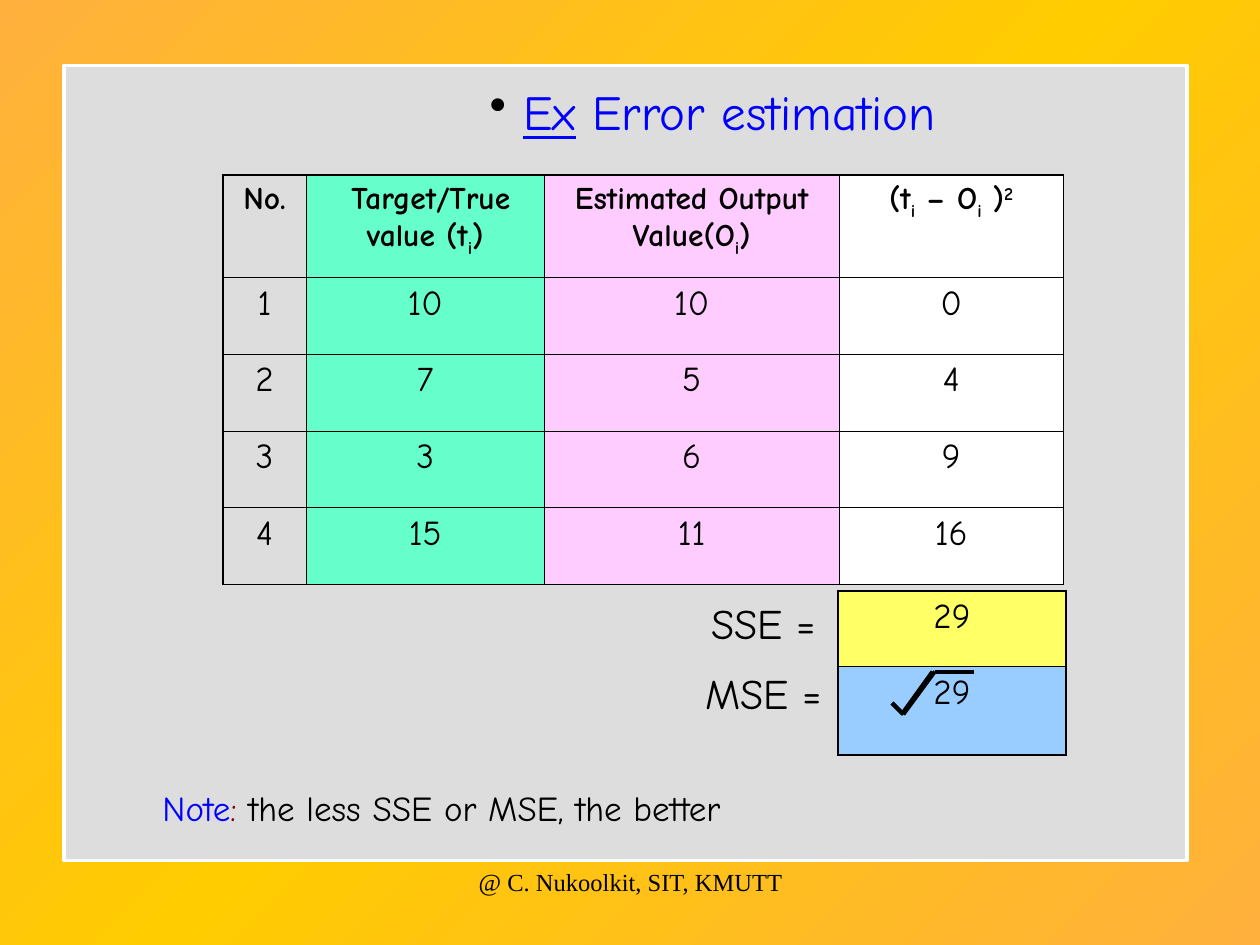
from copy import deepcopy

from lxml.etree import SubElement
from pptx import Presentation
from pptx.dml.color import RGBColor
from pptx.enum.shapes import MSO_CONNECTOR as Connector, MSO_SHAPE as Preset
from pptx.enum.text import MSO_ANCHOR as Anchor, MSO_AUTO_SIZE as AutoSize, PP_ALIGN as Align
from pptx.oxml import parse_xml
from pptx.oxml.ns import nsdecls, qn
from pptx.util import Inches, Pt

BLACK, BLUE, WHITE = "000000", "0000FF", "FFFFFF"
THIN, THICK = 0.45, 1.08


def color(hex_string):
    return RGBColor.from_string(hex_string)


def write(paragraph, text, size=20, font="Comic Neue", fill=BLACK, bold=False,
          underline=False, baseline=0):
    """Add a centred run of text to a paragraph."""
    paragraph.alignment = Align.CENTER
    paragraph.space_before = Pt(0)
    run = paragraph.add_run()
    run.text = text
    run.font.size, run.font.name = Pt(size), font
    run.font.bold, run.font.underline = bold, underline
    run.font.color.rgb = color(fill)
    if baseline:
        run.font._element.set("baseline", str(baseline * 1000))


presentation = Presentation()
presentation.slide_width, presentation.slide_height = Inches(10), Inches(7.5)
slide = presentation.slides.add_slide(presentation.slide_layouts[5])
shapes = slide.shapes

# Grid of 1000 columns by 750 rows
COLUMN = presentation.slide_width // 1000
ROW = presentation.slide_height // 750

# Background gradient with three stops
background = slide.background.fill
background.gradient()
background.gradient_angle = 135
stop_list = next(slide.element.iter(qn("a:gsLst")))
stop_list.append(deepcopy(stop_list[0]))
for stop, position, shade in zip(background.gradient_stops, (0, 0.5, 1),
                                 ("FFB03D", "FFCC00", "FFB03D")):
    stop.position = position
    stop.color.rgb = color(shade)

# Grey panel, behind the title
panel = shapes.add_shape(Preset.RECTANGLE, 51 * COLUMN, 52 * ROW, 891 * COLUMN, 631 * ROW)
panel.shadow.inherit = False
panel.fill.solid()
panel.fill.fore_color.rgb = color("DDDDDD")
panel.line.color.rgb = color(WHITE)
panel.line.width = Pt(2.25)
shapes.title.element.addprevious(panel.element)

# Title with a bullet
title = shapes.title
title.left, title.top, title.width, title.height = 51 * COLUMN, 60 * ROW, 929 * COLUMN, 57 * ROW
title.text_frame.auto_size = AutoSize.SHAPE_TO_FIT_TEXT
title.text_frame.vertical_anchor = Anchor.TOP
heading = title.text_frame.paragraphs[0]
properties = heading._p.get_or_add_pPr()
properties.set("marL", str(Inches(1)))
properties.set("indent", "0")
SubElement(SubElement(properties, qn("a:buClr")), qn("a:srgbClr"), val=BLACK)
SubElement(properties, qn("a:buChar"), char="•")
write(heading, " ", size=28)
write(heading, "Ex", size=28, fill=BLUE, underline=True)
write(heading, " Error estimation", size=28, fill=BLUE)

# Tables: each cell is a list of (text, baseline) pieces
header = [
    [("No.", 0)],
    [(" Target/True value (t", 0), ("i", -25), (")", 0)],
    [("Estimated Output Value(O", 0), ("i", -25), (")", 0)],
    [("(t", 0), ("i", -25), (" – O", 0), ("i", -25), (" )", 0), ("2", 30)],
]
values = [(1, 10, 10, 0), (2, 7, 5, 4), (3, 3, 6, 9), (4, 15, 11, 16)]
error_rows = [header] + [[[(str(value), 0)] for value in row] for row in values]
error_fills = [[None, "66FFCC", "FFCCFF", WHITE]] * len(error_rows)
sum_rows = [[[("29", 0)]], [[("29", 0)]]]
sum_fills = [["FFFF66"], ["99CCFF"]]

tables = [
    (177, 139, (66, 189, 234, 178), (81, 61, 61, 61, 61), error_rows, error_fills),
    (665, 469, (181,), (60, 70), sum_rows, sum_fills),
]
for left, top, widths, heights, rows, fills in tables:
    table = shapes.add_table(len(heights), len(widths), left * COLUMN, top * ROW,
                             sum(widths) * COLUMN, sum(heights) * ROW).table
    table.first_row = table.horz_banding = False
    for column, width in zip(table.columns, widths):
        column.width = width * COLUMN
    for i, height in enumerate(heights):
        table.rows[i].height = height * ROW
        for j, pieces in enumerate(rows[i]):
            cell = table.cell(i, j)
            is_header = rows[i] is header
            for text, baseline in pieces:
                write(cell.text_frame.paragraphs[0], text, size=18 if is_header else 20,
                      bold=is_header, baseline=baseline)
            if fills[i][j]:
                cell.fill.solid()
                cell.fill.fore_color.rgb = color(fills[i][j])
            else:
                cell.fill.background()
            # Thick outer edges, thin inner ones
            outer = {"L": j == 0, "R": j == len(widths) - 1,
                     "T": i == 0, "B": i == len(heights) - 1}
            for order, (side, on_edge) in enumerate(outer.items()):
                line_width = Pt(THICK if on_edge else THIN)
                cell._tc.get_or_add_tcPr().insert(order, parse_xml(
                    f'<a:ln{side} {nsdecls("a")} w="{line_width}"><a:solidFill>'
                    f'<a:srgbClr val="{BLACK}"/></a:solidFill></a:ln{side}>'))

# Labels, note and footer
comic, times = "Comic Neue", "Times New Roman"
labels = [
    (539, 469, 134, 50, 24, comic, [("SSE =", BLACK)]),
    (539, 525, 134, 50, 24, comic, [("MSE =", BLACK)]),
    (67, 619, 567, 44, 20, comic,
     [("Note", BLUE), (": ", "800000"), ("the less SSE or MSE, the better", BLACK)]),
    (342, 683, 317, 50, 14, times, [("@ C. Nukoolkit, SIT, KMUTT", BLACK)]),
]
for left, top, width, height, size, font, runs in labels:
    frame = shapes.add_textbox(left * COLUMN, top * ROW, width * COLUMN, height * ROW).text_frame
    frame.word_wrap = True
    for text, fill in runs:
        write(frame.paragraphs[0], text, size=size, font=font, fill=fill)

# Square root sign
strokes = [(742, 533, 773, 533), (740, 533, 717, 565), (708, 558, 716, 566),
           (742, 533, 717, 567), (708, 558, 717, 567)]
for x1, y1, x2, y2 in strokes:
    stroke = shapes.add_connector(Connector.STRAIGHT, x1 * COLUMN, y1 * ROW,
                                  x2 * COLUMN, y2 * ROW)
    stroke.line.color.rgb = color(BLACK)
    stroke.line.width = Pt(2.25)
    SubElement(stroke.element.spPr, qn("a:effectLst"))

presentation.save("out.pptx")
